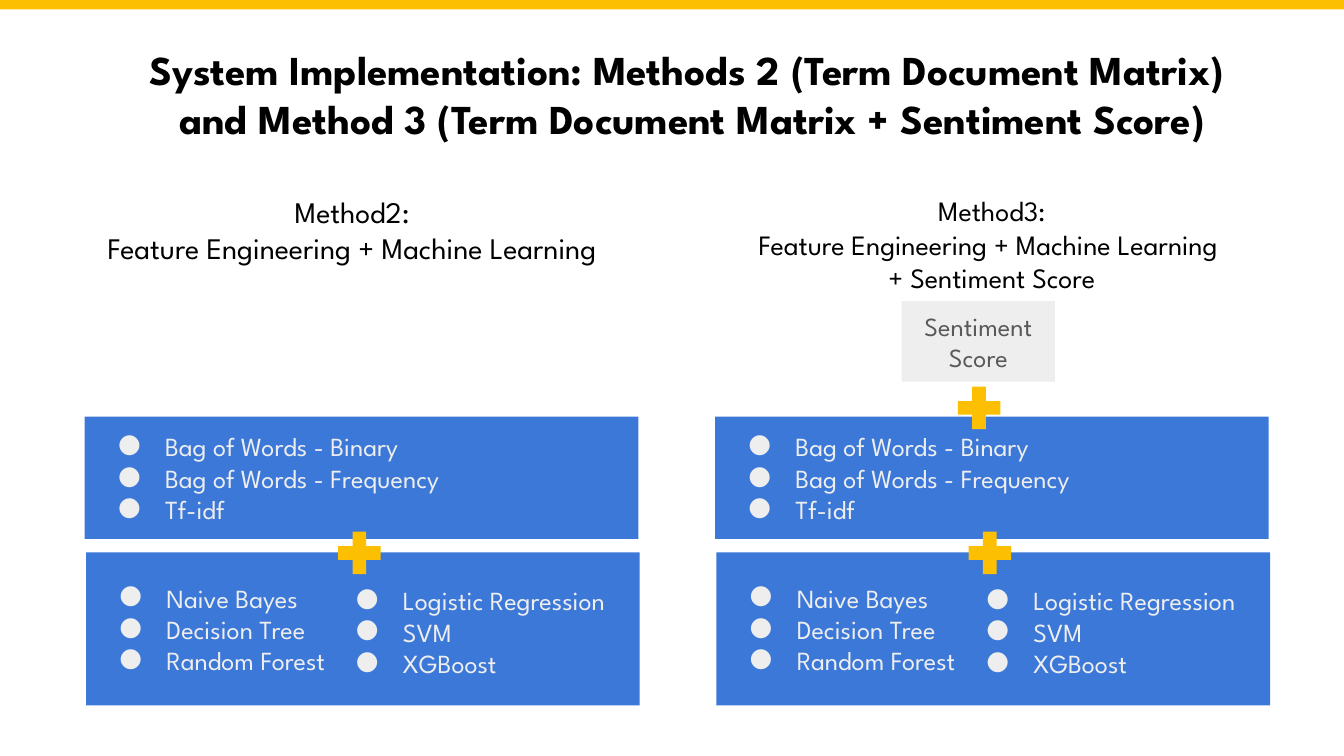
from dataclasses import dataclass

from lxml import etree
from pptx import Presentation
from pptx import util as u
from pptx.dml.color import RGBColor
from pptx.enum import shapes, text
from pptx.oxml.ns import qn

FONT = "League Spartan"
GOLD, BLUE, PALE, GREY, BLACK = "FCBF01", "3C78D8", "EEEEEE", "595959", "000000"
WIDTH = 10
HEIGHT = WIDTH * 9 / 16
STEP = 4.69


@dataclass
class Box:
    x: float
    y: float
    w: float
    h: float

    def shift(self, dx: float) -> "Box":
        return Box(self.x + dx, self.y, self.w, self.h)

    def place(self) -> list[int]:
        return [u.Inches(v) for v in (self.x, self.y, self.w, self.h)]


@dataclass
class Style:
    size: int
    color: str
    bold: bool = False
    list: bool = False


@dataclass
class Panel:
    box: Box
    lines: list[str]
    fill: str | None = None


ITEM = Style(14, PALE, list=True)
PANELS = [
    Panel(Box(0.63, 3.1, 4.12, 0.91),
          ["Bag of Words - Binary", "Bag of Words - Frequency", "Tf-idf"], BLUE),
    Panel(Box(0.64, 4.11, 4.12, 1.14),
          ["Naive Bayes", "Decision Tree", "Random Forest"], BLUE),
    Panel(Box(2.4, 4.25, 2.35, 0.91),
          ["Logistic Regression", "SVM", "XGBoost"]),
]
PLUS = Box(2.46, 3.9, 0.43, 0.43)


def paint(fmt, color: str) -> None:
    if hasattr(fmt, "solid"):
        fmt.solid()
        fmt = fmt.fore_color
    fmt.rgb = RGBColor.from_string(color)


def add_mark(para, size: int) -> None:
    props = para._p.get_or_add_pPr()
    props.set("marL", str(u.Inches(0.5)))
    props.set("indent", str(u.Inches(-0.35)))
    tint = etree.SubElement(props, qn("a:buClr"))
    etree.SubElement(tint, qn("a:srgbClr"), val=PALE)
    etree.SubElement(props, qn("a:buSzPts"), val=str(size * 100))
    etree.SubElement(props, qn("a:buFont"), typeface=FONT)
    etree.SubElement(props, qn("a:buChar"), char="●")


def write(shape, lines: list[str], style: Style) -> None:
    frame = shape.text_frame
    frame.word_wrap = True
    frame.margin_left = frame.margin_right = u.Inches(0.1)
    frame.margin_top = frame.margin_bottom = u.Inches(0.1)
    frame.text = "\n".join(lines)
    for para in frame.paragraphs:
        para.alignment = text.PP_ALIGN.LEFT if style.list else text.PP_ALIGN.CENTER
        if style.list:
            add_mark(para, style.size)
        for run in para.runs:
            run.font.name = FONT
            run.font.size = u.Pt(style.size)
            run.font.bold = style.bold
            paint(run.font.color, style.color)


def add_block(slide, box: Box, fill: str, kind=shapes.MSO_SHAPE.RECTANGLE):
    shape = slide.shapes.add_shape(kind, *box.place())
    shape.shadow.inherit = False
    paint(shape.fill, fill)
    shape.line.fill.background()
    shape.text_frame.vertical_anchor = text.MSO_ANCHOR.MIDDLE
    return shape


def add_label(slide, box: Box, lines: list[str], style: Style) -> None:
    write(slide.shapes.add_textbox(*box.place()), lines, style)


def add_plus(slide, box: Box) -> None:
    shape = add_block(slide, box, GOLD, shapes.MSO_SHAPE.MATH_PLUS)
    shape.adjustments[0] = 0.235


def add_stack(slide, dx: float) -> None:
    for panel in PANELS:
        box = panel.box.shift(dx)
        if panel.fill:
            write(add_block(slide, box, panel.fill), panel.lines, ITEM)
        else:
            add_label(slide, box, panel.lines, ITEM)
    add_plus(slide, PLUS.shift(dx))


def main() -> None:
    deck = Presentation()
    deck.slide_width, deck.slide_height = u.Inches(WIDTH), u.Inches(HEIGHT)
    slide = deck.slides.add_slide(deck.slide_layouts[6])

    add_block(slide, Box(0, 0, WIDTH, 0.07), GOLD)
    add_label(slide, Box(0.15, 0.23, WIDTH, 1.31),
              ["System Implementation: Methods 2 (Term Document Matrix) ",
               "and Method 3 (Term Document Matrix + Sentiment Score)"],
              Style(22, BLACK, bold=True))

    for col in range(2):
        add_stack(slide, col * STEP)

    score = add_block(slide, Box(6.71, 2.24, 1.14, 0.6), PALE)
    write(score, ["Sentiment", "Score"], Style(14, GREY))
    add_plus(slide, Box(7.07, 2.82, 0.43, 0.43))

    add_label(slide, Box(0.56, 1.34, 4.12, 0.74),
              ["Method2:", "Feature Engineering + Machine Learning"],
              Style(16, BLACK))
    add_label(slide, Box(5.32, 1.34, 4.12, 0.96),
              ["Method3:", "Feature Engineering + Machine Learning ",
               "+ Sentiment Score"],
              Style(15, BLACK))
    deck.save("out.pptx")


if __name__ == "__main__":
    main()
